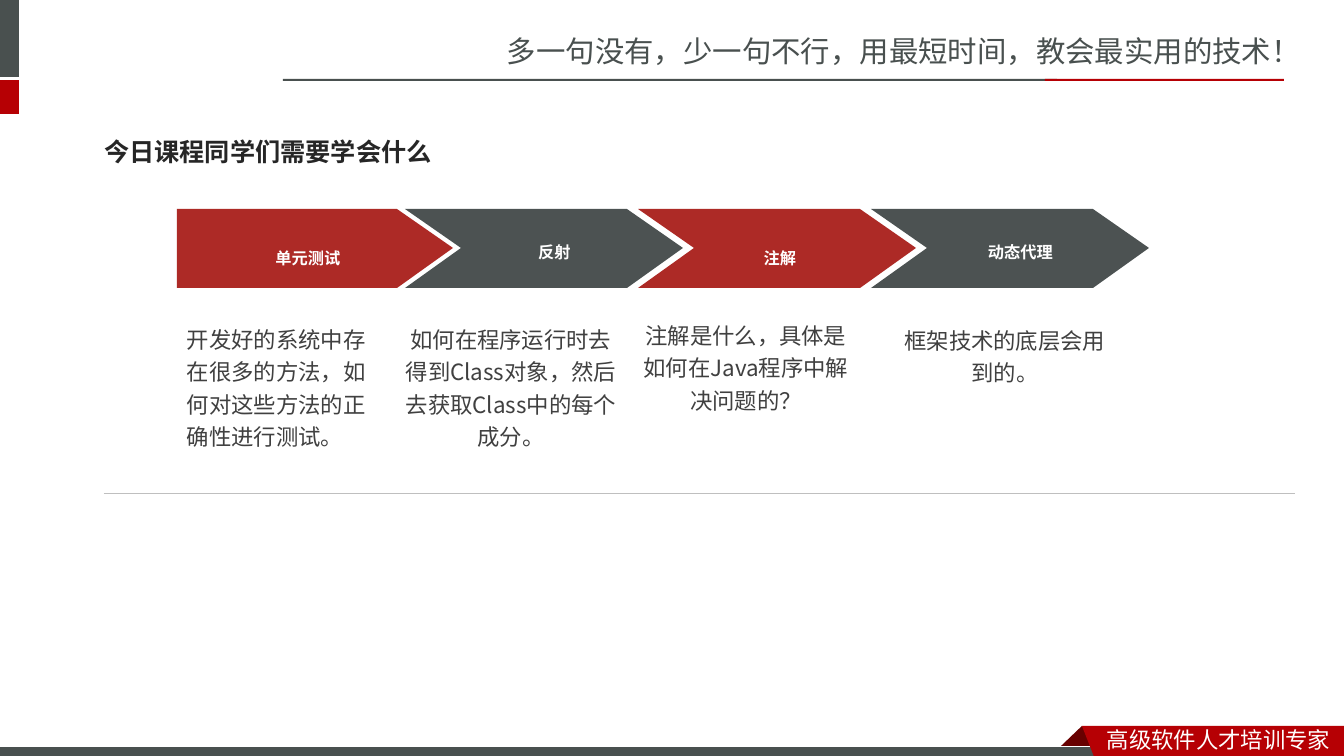
from lxml.etree import SubElement
from pptx import Presentation
from pptx.dml.color import RGBColor
from pptx.enum.shapes import MSO_CONNECTOR as CONNECTOR, MSO_SHAPE as SHAPE
from pptx.enum.text import MSO_ANCHOR as ANCHOR, MSO_AUTO_SIZE as AUTO_SIZE, PP_ALIGN as ALIGN
from pptx.oxml.ns import qn
from pptx.util import Emu, Pt

PX = 914400 / 100.8  # EMU in one px

SLATE = RGBColor(0x49, 0x50, 0x4F)
RED = RGBColor(0xB6, 0x00, 0x04)
DARK_RED = RGBColor(0x68, 0x00, 0x00)
ARROW_RED = RGBColor(0xAD, 0x2A, 0x26)
ARROW_GREY = RGBColor(0x4C, 0x52, 0x52)
BODY_GREY = RGBColor(0x40, 0x40, 0x40)
HEADING_BLACK = RGBColor(0x26, 0x26, 0x26)
RULE_GREY = RGBColor(0xBF, 0xBF, 0xBF)
WHITE = RGBColor(0xFF, 0xFF, 0xFF)

SC_FONT = "Noto Sans CJK SC"
JP_FONT = "Noto Sans CJK JP"
MONO_FONT = "Noto Sans Mono"

# Arrow row
ARROW_TOP, ARROW_MIDDLE, ARROW_BOTTOM = 209, 248, 288
ARROW_HEAD = 56
ARROW_STEP = 233
FIRST_ARROW = (177, 453)
SECOND_ARROW = (405, 683)

# Label, label box, label line spacing, description, description box, alignment
TOPICS = [
    ("单元测试", (176, 231, 264, 36), 1.2,
     "开发好的系统中存在很多的方法，如何对这些方法的正确性进行测试。",
     (177, 316, 214, 139), ALIGN.LEFT),
    ("反射", (437, 230, 235, 33), 1.0,
     "如何在程序运行时去得到Class对象，然后去获取Class中的每个成分。",
     (395, 316, 232, 139), ALIGN.CENTER),
    ("注解", (605, 231, 350, 36), 1.2,
     "注解是什么，具体是如何在Java程序中解决问题的？",
     (630, 312, 232, 106), ALIGN.CENTER),
    ("动态代理", (903, 230, 235, 33), 1.0,
     "框架技术的底层会用到的。",
     (889, 317, 232, 74), ALIGN.CENTER),
]


def px(*lengths):
    return [Emu(round(length * PX)) for length in lengths]


def write_text(frame, text, font, size, color, bold=False, align=ALIGN.LEFT,
               anchor=ANCHOR.TOP, spacing=1.0, baseline=None):
    frame.word_wrap = True
    frame.vertical_anchor = anchor
    paragraph = frame.paragraphs[0]
    paragraph.alignment = align
    paragraph.line_spacing = spacing
    run = paragraph.add_run()
    run.text = text
    run.font.name = font
    run.font.size = Pt(size)
    run.font.bold = bold
    run.font.color.rgb = color
    properties = run._r.get_or_add_rPr()
    SubElement(properties, qn("a:ea"), typeface=font)
    if baseline is not None:
        properties.set("baseline", str(baseline))


def add_text(slide, box, text, **text_format):
    frame = slide.shapes.add_textbox(*px(*box)).text_frame
    write_text(frame, text, **text_format)
    frame.auto_size = AUTO_SIZE.SHAPE_TO_FIT_TEXT


def paint(shape, color, outline=None):
    shape.shadow.inherit = False
    shape.fill.solid()
    shape.fill.fore_color.rgb = color
    if outline is None:
        shape.line.fill.background()
    else:
        shape.line.color.rgb = outline
        shape.line.width = Pt(0.75)


def add_bar(slide, box, color, outline=None):
    paint(slide.shapes.add_shape(SHAPE.RECTANGLE, *px(*box)), color, outline)


def add_polygon(slide, points, color):
    builder = slide.shapes.build_freeform(*points[0], scale=PX)
    builder.add_line_segments(points[1:], close=True)
    paint(builder.convert_to_shape(), color)


def add_arrow(slide, left, tip, color, notched):
    shoulder = tip - ARROW_HEAD
    points = [(left, ARROW_TOP), (shoulder, ARROW_TOP), (tip, ARROW_MIDDLE),
              (shoulder, ARROW_BOTTOM), (left, ARROW_BOTTOM)]
    if notched:
        points.append((left + ARROW_HEAD, ARROW_MIDDLE))
    add_polygon(slide, points, color)


def add_rule(slide, left, right, top):
    rule = slide.shapes.add_connector(CONNECTOR.STRAIGHT, *px(left, top, right, top))
    rule.line.color.rgb = RULE_GREY
    rule.line.width = Pt(0.25)
    SubElement(rule._element.spPr, qn("a:effectLst"))


def add_header(slide):
    add_text(slide, (497, 28, 848, 47), "多一句没有，少一句不行，用最短时间，教会最实用的技术！",
             font=SC_FONT, size=21, color=SLATE)
    add_bar(slide, (-6, 0, 25, 77), SLATE)
    add_bar(slide, (-6, 80, 25, 34), RED)
    add_bar(slide, (283, 79, 774, 2), SLATE)
    add_bar(slide, (1045, 79, 239, 2), RED)


def add_footer(slide):
    add_polygon(slide, [(1082, 726), (1104, 748), (1103, 749), (1060, 749), (1059, 748)], DARK_RED)
    add_bar(slide, (-1, 747, 1109, 12), SLATE, outline=WHITE)
    add_polygon(slide, [(1082, 726), (1344, 726), (1344, 760), (1095, 759)], RED)
    add_text(slide, (1097, 721, 247, 37), "高级软件人才培训专家",
             font=SC_FONT, size=16, color=WHITE)


def add_title(slide, text):
    title = slide.shapes.title
    title.left, title.top, title.width, title.height = px(94, 123, 411, 57)
    write_text(title.text_frame, text, font=MONO_FONT, size=18,
               color=HEADING_BLACK, bold=True, anchor=ANCHOR.MIDDLE)
    title.text_frame.auto_size = AUTO_SIZE.NONE


def add_topics(slide):
    for index, (label, label_box, spacing, description, box, align) in enumerate(TOPICS):
        if index == 0:
            left, tip = FIRST_ARROW
        else:
            left, tip = (edge + (index - 1) * ARROW_STEP for edge in SECOND_ARROW)
        color = ARROW_GREY if index % 2 else ARROW_RED
        add_arrow(slide, left, tip, color, notched=index > 0)
        add_text(slide, label_box, label, font=JP_FONT, size=20, color=WHITE, bold=True,
                 align=ALIGN.CENTER, anchor=ANCHOR.MIDDLE, spacing=spacing, baseline=-3000)
        add_text(slide, box, description, font=JP_FONT, size=16, color=BODY_GREY,
                 align=align, spacing=1.2)


def main():
    presentation = Presentation()
    presentation.slide_width, presentation.slide_height = px(1344, 756)
    slide = presentation.slides.add_slide(presentation.slide_layouts[5])  # title only

    add_header(slide)
    add_footer(slide)
    add_title(slide, "今日课程同学们需要学会什么")
    add_topics(slide)
    add_rule(slide, 104, 1295, 493)

    presentation.save("out.pptx")


if __name__ == "__main__":
    main()
